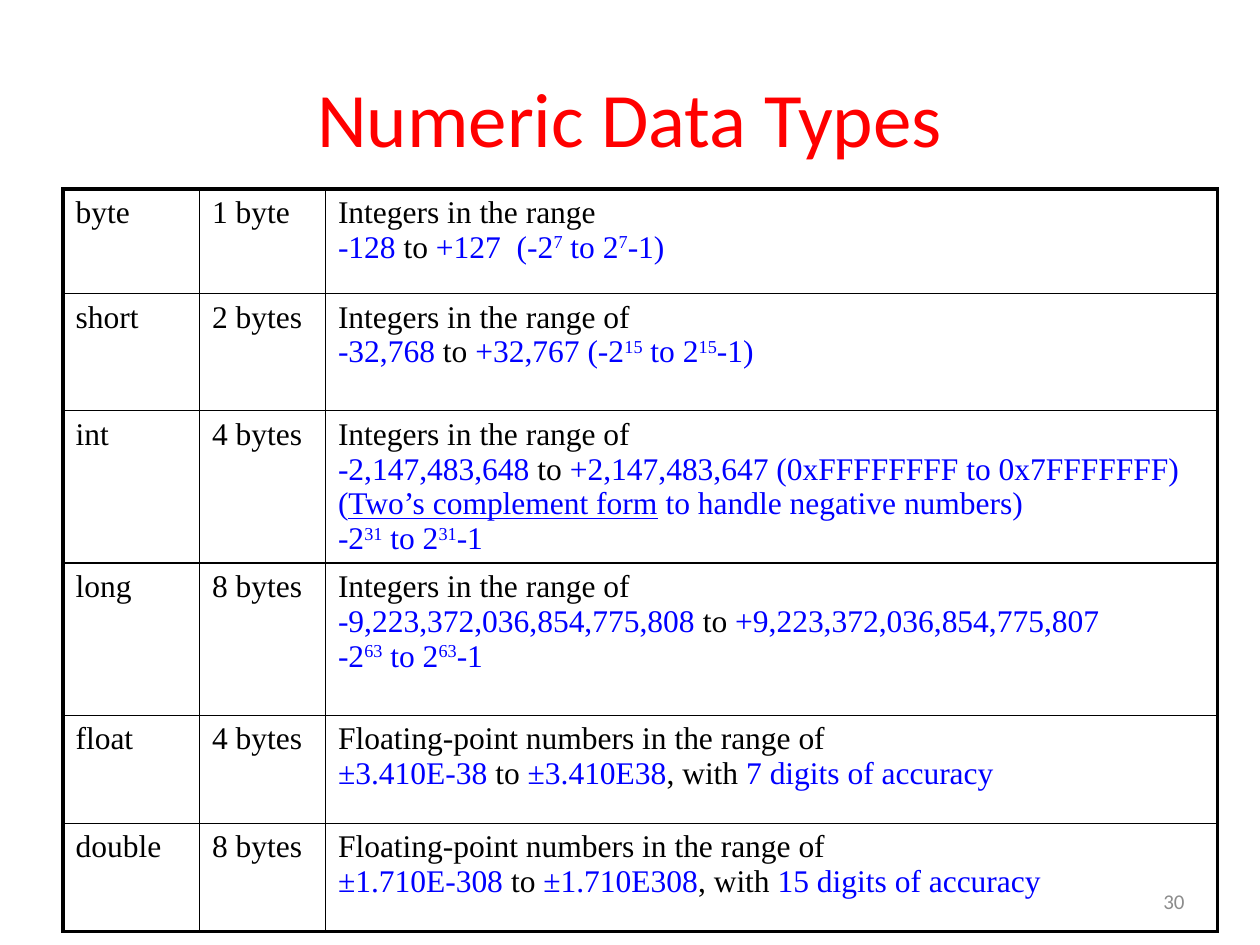
from lxml import etree
from pptx import Presentation
from pptx.dml.color import RGBColor
from pptx.enum import text
from pptx.oxml import ns
from pptx.util import Cm, Pt

RED = RGBColor(0xFF, 0x00, 0x00)
BLUE = RGBColor(0x00, 0x00, 0xFF)
BLACK = RGBColor(0x00, 0x00, 0x00)
GRAY = RGBColor(0x8C, 0x8C, 0x8C)
THIN, THICK = Pt(1), Pt(2.25)

COL_WIDTHS = (2.75, 2.54, 17.98)
ROW_HEIGHTS = (2.11, 2.36, 3.07, 3.07, 2.18, 2.18)
TO = (" to ", "black")


def blue(s):
    return s, "blue"


def power_range(start, exponent, end="-1"):
    return [blue(start), (exponent, "sup"), blue(" to 2"), (exponent, "sup"), blue(end)]


def plain(s):
    return [(s, "black")]


def limits(low, high):
    return [blue(low), TO, blue(high)]


def float_range(low, high, digits):
    return [
        plain("Floating-point numbers in the range of "),
        limits(low, high) + [(", with ", "black"), blue(f"{digits} digits of accuracy")],
    ]


INTEGERS = plain("Integers in the range of")
TYPES = [
    ("byte", "1 byte", [
        plain("Integers in the range"),
        [blue("-128"), TO] + power_range("+127  (-2", "7", "-1)"),
    ]),
    ("short", "2 bytes", [
        INTEGERS,
        [blue("-32,768"), TO] + power_range("+32,767 (-2", "15", "-1)"),
    ]),
    ("int", "4 bytes", [
        INTEGERS,
        limits("-2,147,483,648", "+2,147,483,647 (0xFFFFFFFF to 0x7FFFFFFF)")
        + [("", "break"), blue("("), ("Two’s complement form", "underline"),
           blue(" to handle negative numbers)")],
        power_range("-2", "31"),
    ]),
    ("long", "8 bytes", [
        INTEGERS,
        limits("-9,223,372,036,854,775,808", "+9,223,372,036,854,775,807"),
        power_range("-2", "63"),
    ]),
    ("float", "4 bytes", float_range("±3.410E-38", "±3.410E38", 7)),
    ("double", "8 bytes", float_range("±1.710E-308", "±1.710E308", 15)),
]


def add_run(p, s, font, size, color):
    r = p.add_run()
    r.text = s
    r.font.name = font
    r.font.size = Pt(size)
    r.font.color.rgb = color
    return r


def write_cell(cell, lines):
    tf = cell.text_frame
    for i, line in enumerate(lines):
        p = tf.paragraphs[0] if i == 0 else tf.add_paragraph()
        for s, style in line:
            if style == "break":
                p.add_line_break()
                continue
            color = BLACK if style == "black" else BLUE
            r = add_run(p, s, "Times New Roman", 18, color)
            if style == "underline":
                r.font.underline = True
            elif style == "sup":
                r._r.get_or_add_rPr().set("baseline", "30000")


def set_borders(cell, widths):
    tc_pr = cell._tc.get_or_add_tcPr()
    for i, (side, width) in enumerate(zip("LRTB", widths)):
        ln = etree.Element(ns.qn(f"a:ln{side}"), w=str(int(width)))
        fill = etree.SubElement(ln, ns.qn("a:solidFill"))
        etree.SubElement(fill, ns.qn("a:srgbClr"), val=str(BLACK))
        tc_pr.insert(i, ln)


def add_types_table(slide):
    rows, cols = len(TYPES), len(COL_WIDTHS)
    frame = slide.shapes.add_table(rows, cols, Cm(1.27), Cm(3.81),
                                   Cm(sum(COL_WIDTHS)), Cm(sum(ROW_HEIGHTS)))
    table = frame.table
    table.first_row = table.horz_banding = False
    for col, width in zip(table.columns, COL_WIDTHS):
        col.width = Cm(width)
    for row, height in zip(table.rows, ROW_HEIGHTS):
        row.height = Cm(height)
    for y, (name, size, description) in enumerate(TYPES):
        for x, lines in enumerate(([plain(name)], [plain(size)], description)):
            cell = table.cell(y, x)
            cell.fill.background()
            write_cell(cell, lines)
            outer = (x == 0, x == cols - 1, y == 0, y == rows - 1)
            set_borders(cell, [THICK if edge else THIN for edge in outer])


def add_title(slide, s):
    sp = slide.shapes.title
    sp.left, sp.top, sp.width, sp.height = Cm(1.27), Cm(0.76), Cm(22.86), Cm(3.18)
    tf = sp.text_frame
    tf.vertical_anchor = text.MSO_ANCHOR.MIDDLE
    p = tf.paragraphs[0]
    p.alignment = text.PP_ALIGN.CENTER
    add_run(p, s, "Calibri", 44, RED)


def add_page_number(slide, s):
    sp = slide.shapes.add_textbox(Cm(18.2), Cm(17.65), Cm(5.93), Cm(1.02))
    tf = sp.text_frame
    tf.word_wrap = True
    tf.vertical_anchor = text.MSO_ANCHOR.MIDDLE
    p = tf.paragraphs[0]
    p.alignment = text.PP_ALIGN.RIGHT
    add_run(p, s, "Calibri", 12, GRAY)


def main():
    prs = Presentation()
    prs.slide_width, prs.slide_height = Cm(25.4), Cm(19.05)
    slide = prs.slides.add_slide(prs.slide_layouts[5])
    add_title(slide, "Numeric Data Types")
    add_types_table(slide)
    add_page_number(slide, "30")
    prs.save("out.pptx")


main()
